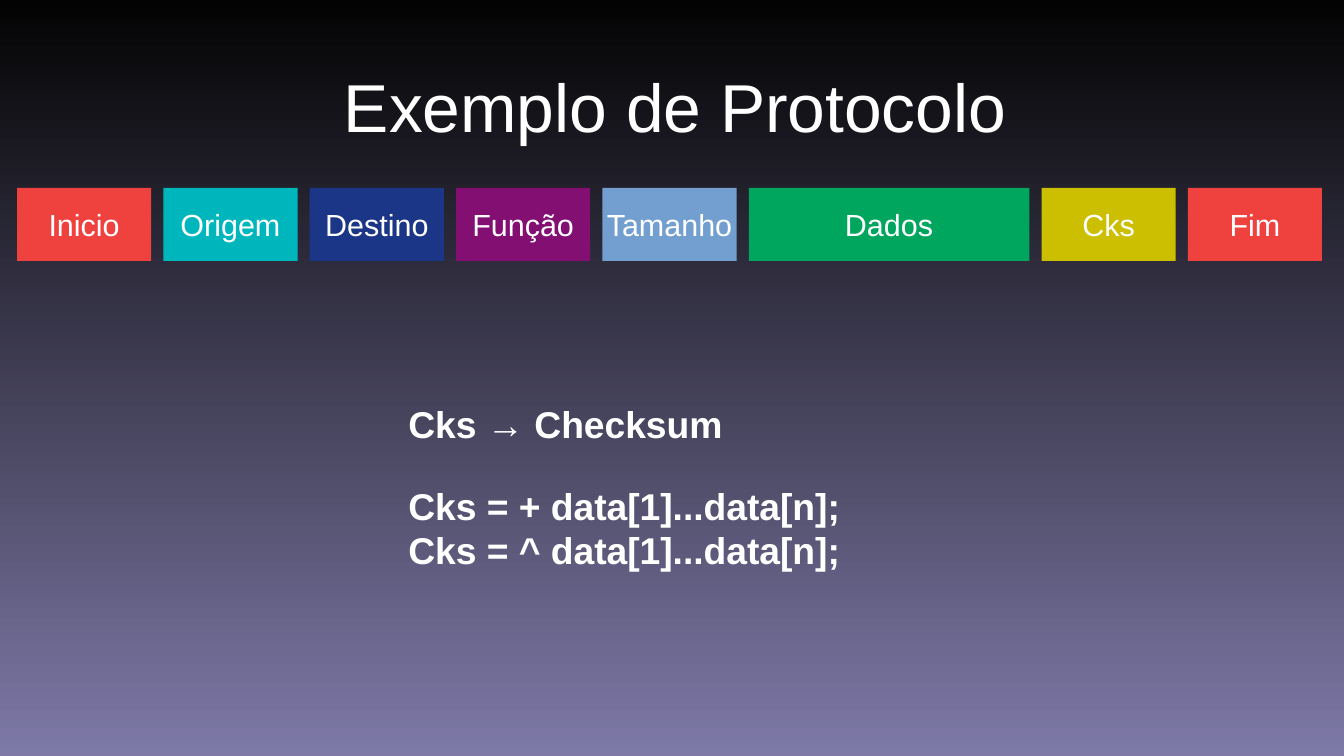
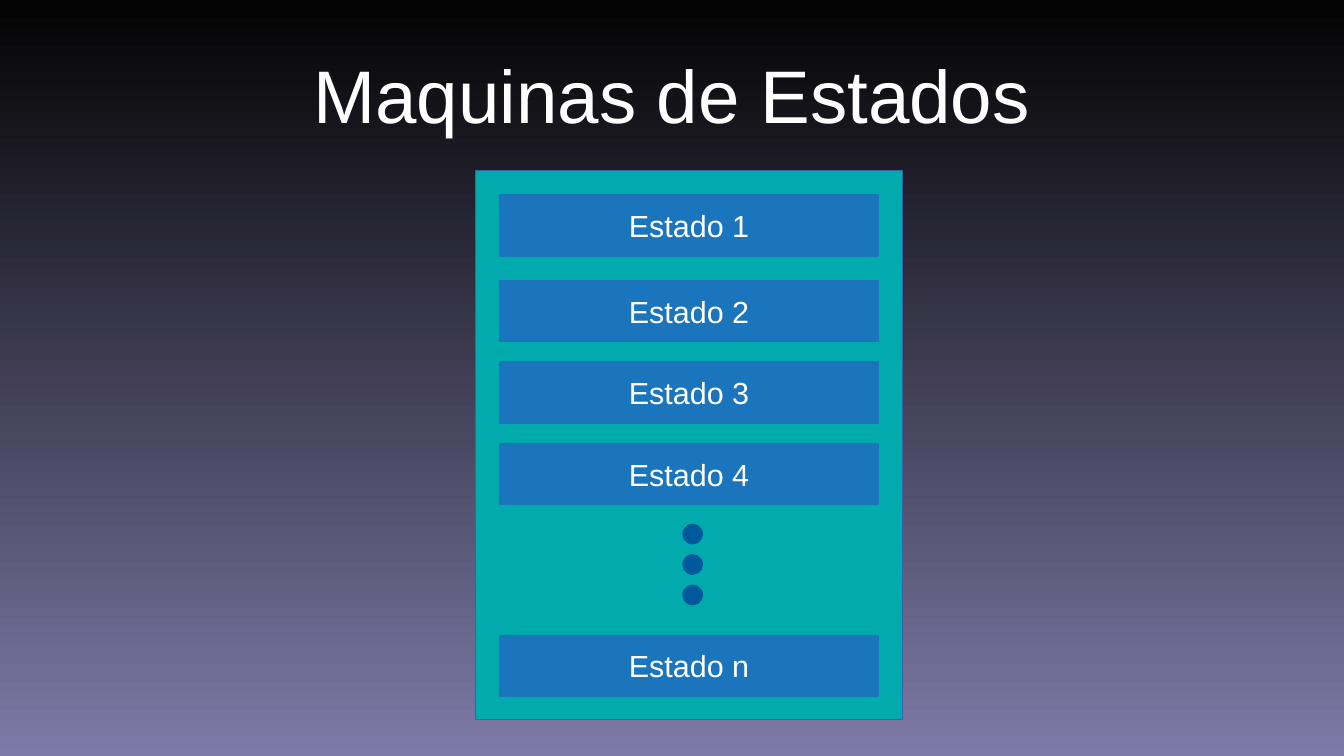
from pptx import Presentation
from pptx.dml.color import RGBColor
from pptx.enum.shapes import MSO_SHAPE
from pptx.enum.text import MSO_ANCHOR, PP_ALIGN
from pptx.util import Inches, Pt

COLORS = {
    "night": "030303",
    "lavender": "7E79A7",
    "white": "FFFFFF",
    "red": "EF413D",
    "cyan": "00B6BD",
    "navy": "1C3687",
    "purple": "820F71",
    "sky": "729FCF",
    "green": "00A65D",
    "yellow": "CCBE00",
    "teal": "00AAAD",
    "outline": "3465A4",
    "blue": "1B75BC",
    "dot": "00599D",
}
RGB = {name: RGBColor.from_string(value) for name, value in COLORS.items()}


def add_text(slide, box, lines, size, align=PP_ALIGN.LEFT, bold=False):
    frame = slide.shapes.add_textbox(*map(Inches, box)).text_frame
    frame.word_wrap = True
    frame.text = "\n".join(lines)
    for paragraph in frame.paragraphs:
        paragraph.alignment = align
        font = paragraph.runs[0].font
        font.name, font.size, font.bold = "Arial", Pt(size), bold
        font.color.rgb = RGB["white"]
    return frame


def add_block(slide, box, fill, line=None, label="", kind=MSO_SHAPE.RECTANGLE):
    block = slide.shapes.add_shape(kind, *map(Inches, box))
    block.shadow.inherit = False
    block.fill.solid()
    block.fill.fore_color.rgb = RGB[fill]
    if line:
        block.line.color.rgb = RGB[line]
        block.line.width = Pt(0)
    else:
        block.line.fill.background()
    if label:
        frame = block.text_frame
        frame.word_wrap = False
        frame.vertical_anchor = MSO_ANCHOR.MIDDLE
        frame.text = label
        paragraph = frame.paragraphs[0]
        paragraph.alignment = PP_ALIGN.CENTER
        font = paragraph.runs[0].font
        font.name, font.size = "Arial", Pt(18)
        font.color.rgb = RGB["white"]


prs = Presentation()
prs.slide_width = Inches(11.02)
prs.slide_height = Inches(6.2)
blank = prs.slide_layouts[6]

backdrop = prs.slide_master.background.fill
backdrop.gradient()
backdrop.gradient_angle = 270
for stop, position, color in zip(backdrop.gradient_stops, (0, 1), ("night", "lavender")):
    stop.position = position
    stop.color.rgb = RGB[color]

protocol = prs.slides.add_slide(blank)
field_left = 0.14
for label, width, color in [
    ("Inicio", 1.1, "red"),
    ("Origem", 1.1, "cyan"),
    ("Destino", 1.1, "navy"),
    ("Função", 1.1, "purple"),
    ("Tamanho", 1.1, "sky"),
    ("Dados", 2.3, "green"),
    ("Cks", 1.1, "yellow"),
    ("Fim", 1.1, "red"),
]:
    add_block(protocol, (field_left, 1.54, width, 0.6), color, label=label)
    field_left += width + 0.1

add_text(protocol, (2.72, 0.48, 5.63, 0.72), ["Exemplo de Protocolo"], 40, PP_ALIGN.CENTER)
checksum = add_text(
    protocol,
    (3.25, 3.24, 3.95, 1.4),
    ["Cks → Checksum", "Cks = + data[1]...data[n];", "Cks = ^ data[1]...data[n];"],
    22,
    bold=True,
)
checksum.paragraphs[1].space_before = Pt(22)

machine = prs.slides.add_slide(blank)
heading = add_text(machine, (0.55, 0.25, 9.92, 1.04), ["Maquinas de Estados"], 44, PP_ALIGN.CENTER)
heading.vertical_anchor = MSO_ANCHOR.MIDDLE

add_block(machine, (3.9, 1.4, 3.5, 4.5), "teal", "outline")
for state, top in [("1", 1.6), ("2", 2.3), ("3", 2.97), ("4", 3.64), ("n", 5.21)]:
    add_block(machine, (4.1, top, 3.1, 0.5), "blue", "blue", f"Estado {state}")
for step in range(3):
    add_block(machine, (5.6, 4.3 + 0.25 * step, 0.16, 0.16), "dot", "dot", kind=MSO_SHAPE.OVAL)

prs.save("out.pptx")
